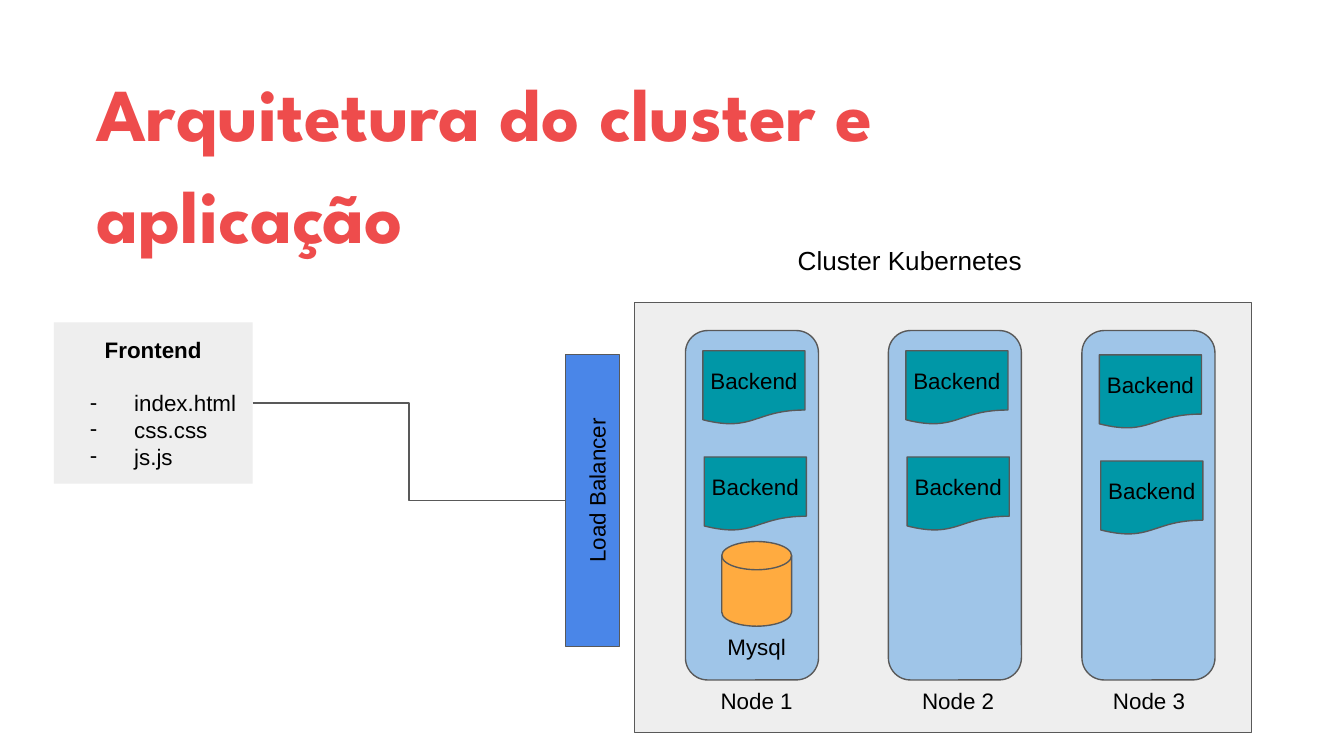
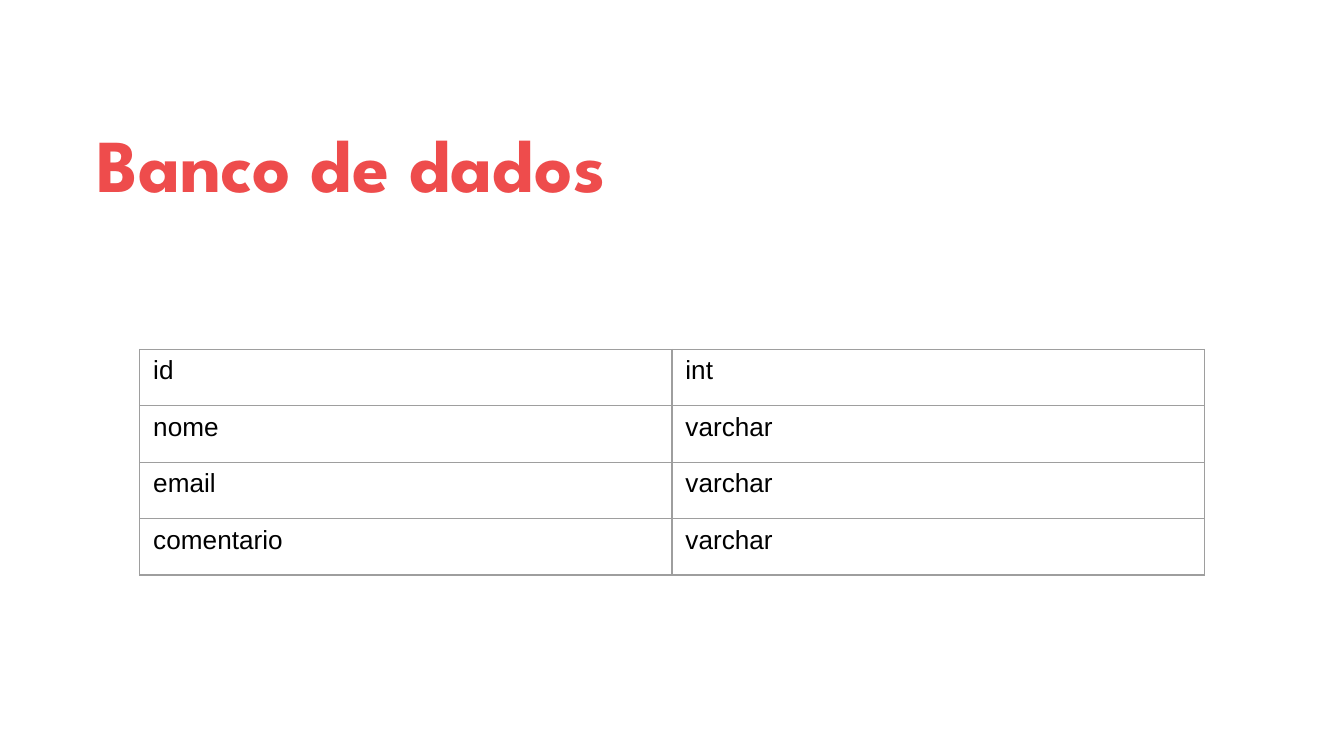
import pptx
import pptx.dml.color
import pptx.enum.shapes
import pptx.enum.text
import pptx.oxml
import pptx.oxml.ns
import pptx.util
from lxml import etree
from pptx.util import Inches

RED, BLACK, GRAY, LINE = "EE4C4C", "000000", "EEEEEE", "595959"
NODE_BLUE, BALANCER_BLUE, TEAL, ORANGE = "9FC5E8", "4A86E8", "0097A7", "FFAB40"
TABLE_LINE = "9E9E9E"
TITLE_FONT, BODY_FONT = "League Spartan", "Arial"
SHAPE = pptx.enum.shapes.MSO_SHAPE
ALIGN = pptx.enum.text.PP_ALIGN
ANCHOR = pptx.enum.text.MSO_ANCHOR

# node name, left, caption left, top of first backend
NODES = [("Node 1", 5.1, 5.2, 2.61), ("Node 2", 6.61, 6.7, 2.61), ("Node 3", 8.05, 8.12, 2.64)]
COLUMNS = [("id", "int"), ("nome", "varchar"), ("email", "varchar"), ("comentario", "varchar")]


def color(hex_code):
    return pptx.dml.color.RGBColor.from_string(hex_code)


def sub(parent, tag, **attrs):
    return etree.SubElement(parent, pptx.oxml.ns.qn(tag), attrs)


def set_text(p, text, size=12, font=BODY_FONT, ink=BLACK, bold=False, align=None,
             line_spacing=None, before=None):
    r = p.add_run()
    r.text = text
    r.font.size = pptx.util.Pt(size)
    r.font.name = font
    r.font.bold = bold
    r.font.color.rgb = color(ink)
    p.alignment = align
    p.line_spacing = line_spacing
    if before is not None:
        p.space_before = pptx.util.Pt(before)


def set_frame(tf, anchor=ANCHOR.TOP):
    tf.word_wrap = True
    tf.vertical_anchor = anchor
    tf.margin_left = tf.margin_right = tf.margin_top = tf.margin_bottom = Inches(0.1)


def add_text(s, text, left, top, width, height, anchor=ANCHOR.TOP, **fmt):
    box = s.shapes.add_textbox(Inches(left), Inches(top), Inches(width), Inches(height))
    set_frame(box.text_frame, anchor)
    set_text(box.text_frame.paragraphs[0], text, **fmt)
    return box


def add_label(s, text, left, top, width, height=0.4, size=12):
    box = add_text(s, text, left, top, width, height, size=size, align=ALIGN.CENTER)
    box.text_frame.auto_size = pptx.enum.text.MSO_AUTO_SIZE.SHAPE_TO_FIT_TEXT
    return box


def add_title(s, text):
    add_text(s, text, 0.62, 0.7, 8.1, 0.92, anchor=ANCHOR.MIDDLE, size=40,
             font=TITLE_FONT, ink=RED, bold=True, line_spacing=1.15)


def set_line(line):
    line.color.rgb = color(LINE)
    line.width = pptx.util.Pt(0.75)


def add_shape(s, kind, left, top, width, height, fill, outlined=True):
    sp = s.shapes.add_shape(kind, Inches(left), Inches(top), Inches(width), Inches(height))
    sp.shadow.inherit = False
    sp.fill.solid()
    sp.fill.fore_color.rgb = color(fill)
    if outlined:
        set_line(sp.line)
    else:
        sp.line.fill.background()
    return sp


def set_dash(p):
    """Give the paragraph a hanging dash as its bullet."""
    pPr = p._p.get_or_add_pPr()
    pPr.set("marL", str(Inches(0.5)))
    pPr.set("indent", str(Inches(-0.33)))
    sub(sub(pPr, "a:buClr"), "a:srgbClr", val=BLACK)
    sub(pPr, "a:buSzPts", val="1200")
    sub(pPr, "a:buFont", typeface=BODY_FONT)
    sub(pPr, "a:buChar", char="-")


def add_frontend(s, files):
    sp = add_shape(s, SHAPE.RECTANGLE, 0.4, 2.4, 1.48, 1.2, GRAY, outlined=False)
    tf = sp.text_frame
    set_frame(tf)
    set_text(tf.paragraphs[0], "Frontend", bold=True, align=ALIGN.CENTER)
    for i, name in enumerate(files):
        p = tf.add_paragraph()
        set_dash(p)
        set_text(p, name, align=ALIGN.LEFT, before=0 if i else 14)
    return sp


def add_backend(s, left, top):
    add_shape(s, SHAPE.FLOWCHART_DOCUMENT, left, top, 0.76, 0.55, TEAL)
    add_label(s, "Backend", left - 0.13, top + 0.02, 1.02)


def add_node(s, name, left, caption_left, backend_top):
    add_shape(s, SHAPE.ROUNDED_RECTANGLE, left, 2.46, 0.99, 2.6, NODE_BLUE)
    for i in range(2):
        add_backend(s, left + 0.13 + 0.01 * i, backend_top + 0.79 * i)
    add_label(s, name, caption_left, 5.01, 0.86)


def add_elbow(s, start, end):
    """Join the right side of start to the left side of end."""
    c = s.shapes.add_connector(pptx.enum.shapes.MSO_CONNECTOR.ELBOW, 0, 0, 0, 0)
    c.begin_connect(start, 3)
    c.end_connect(end, 1)
    set_line(c.line)
    sub(c._element.spPr, "a:effectLst")


def set_borders(cell):
    tcPr = cell._tc.get_or_add_tcPr()
    for i, side in enumerate(("a:lnL", "a:lnR", "a:lnT", "a:lnB")):
        ln = pptx.oxml.parse_xml(
            f'<{side} {pptx.oxml.ns.nsdecls("a")} w="{pptx.util.Pt(0.75)}"><a:solidFill>'
            f'<a:srgbClr val="{TABLE_LINE}"/></a:solidFill></{side}>')
        tcPr.insert(i, ln)


def add_table(s, rows, left, top, width, row_height):
    frame = s.shapes.add_table(len(rows), len(rows[0]), Inches(left), Inches(top),
                               Inches(width), Inches(row_height * len(rows)))
    table = frame.table
    table.first_row = table.horz_banding = False
    for row, texts in zip(table.rows, rows):
        row.height = Inches(row_height)
        for cell, text in zip(row.cells, texts):
            cell.fill.background()
            set_borders(cell)
            set_text(cell.text_frame.paragraphs[0], text, size=14)


def architecture_slide(s):
    add_title(s, "Arquitetura do cluster e aplicação")
    frontend = add_frontend(s, ["index.html", "css.css", "js.js"])
    add_shape(s, SHAPE.RECTANGLE, 4.72, 2.25, 4.59, 3.2, GRAY)
    add_label(s, "Cluster Kubernetes", 5.07, 1.72, 3.4, 0.43, size=14)
    for node in NODES:
        add_node(s, *node)
    add_shape(s, SHAPE.FLOWCHART_MAGNETIC_DISK, 5.37, 4.03, 0.52, 0.63, ORANGE)
    add_label(s, "Mysql", 5.09, 4.61, 1.08)
    balancer = add_shape(s, SHAPE.RECTANGLE, 4.21, 2.64, 0.4, 2.17, BALANCER_BLUE)
    add_label(s, "Load Balancer", 3.57, 3.45, 1.74).rotation = 270
    add_elbow(s, frontend, balancer)


def database_slide(s):
    add_title(s, "Banco de dados")
    add_table(s, COLUMNS, 1.04, 2.6, 7.92, 0.42)


def main():
    prs = pptx.Presentation()
    prs.slide_width = Inches(10)
    prs.slide_height = prs.slide_width * 9 // 16
    for build in (architecture_slide, database_slide):
        build(prs.slides.add_slide(prs.slide_layouts[6]))
    prs.save("out.pptx")


if __name__ == "__main__":
    main()
